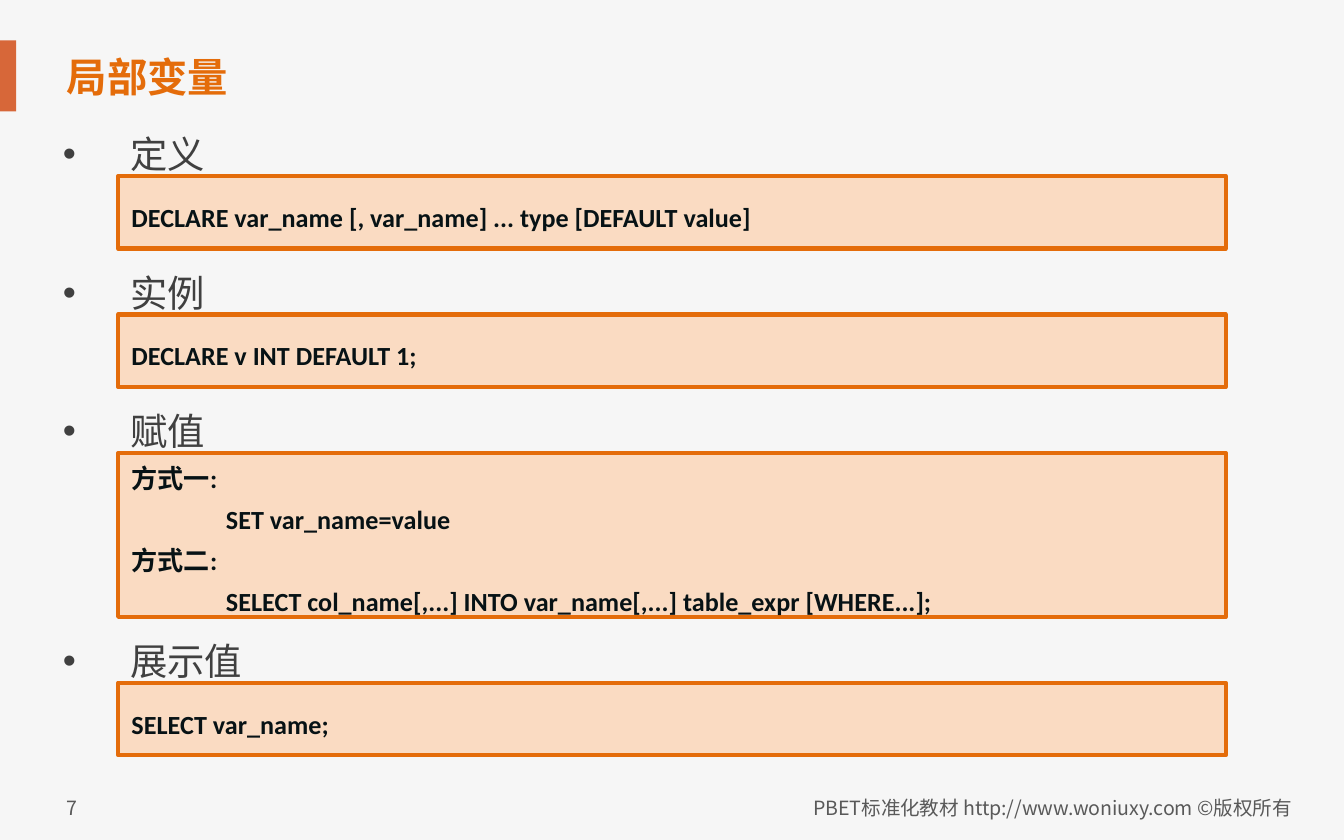
from dataclasses import dataclass

from lxml.etree import SubElement
from pptx import Presentation
from pptx.dml.color import RGBColor
from pptx.enum.shapes import MSO_SHAPE
from pptx.enum.text import MSO_ANCHOR, PP_ALIGN
from pptx.oxml.ns import qn
from pptx.util import Pt

PX = 9144  # 100 px to the inch


@dataclass(frozen=True)
class Theme:
    back: str = "F6F6F6"
    bar: str = "D76739"
    accent: str = "E46C0A"
    panel: str = "FCD5B5"
    code: str = "071215"
    body: str = "404040"
    foot: str = "595959"
    sans: str = "Noto Sans CJK SC"
    latin: str = "Calibri"
    title_pt: float = 21.6
    body_pt: float = 20
    code_pt: float = 14
    foot_pt: float = 10.5


THEME = Theme()
ITEMS = [
    ("定义", ["DECLARE var_name [, var_name] ... type [DEFAULT value]"]),
    ("实例", ["DECLARE v INT DEFAULT 1;"]),
    ("赋值", [
        "方式一:",
        "                SET var_name=value",
        "方式二:",
        "                SELECT col_name[,...] INTO var_name[,...] table_expr [WHERE...];",
    ]),
    ("展示值", ["SELECT var_name;"]),
]


def color(code):
    return RGBColor.from_string(code)


def emu(box):
    return [n * PX for n in box]


def style(para, size, tint, face=THEME.sans, bold=False):
    """Format every run, with the sans face for East Asian letters."""
    for run in para.runs:
        font = run.font
        font.size, font.bold, font.name = Pt(size), bold, face
        font.color.rgb = color(tint)
        latin = run._r.rPr.find(qn("a:latin"))
        east = latin.makeelement(qn("a:ea"), {"typeface": THEME.sans})
        latin.addnext(east)


def add_rect(slide, box, tint):
    rect = slide.shapes.add_shape(MSO_SHAPE.RECTANGLE, *emu(box))
    rect.shadow.inherit = False
    rect.fill.solid()
    rect.fill.fore_color.rgb = color(tint)
    rect.line.fill.background()
    return rect


def add_text(slide, box, text, size, tint, bold=False):
    frame = slide.shapes.add_textbox(*emu(box)).text_frame
    frame.word_wrap = True
    frame.text = text
    style(frame.paragraphs[0], size, tint, bold=bold)
    return frame


def add_header(slide, box):
    left, top, width, height = box
    add_rect(slide, (left, top, 12, height), THEME.bar)
    frame = add_text(slide, (left + 40, top + 3, width - 40, 48), "局部变量",
                     THEME.title_pt, THEME.accent, bold=True)
    frame.vertical_anchor = MSO_ANCHOR.MIDDLE


def add_panel(slide, box, lines):
    rect = add_rect(slide, box, THEME.panel)
    tint = rect._element.spPr.find(qn("a:solidFill"))[0]
    SubElement(tint, qn("a:alpha"), val="80000")
    rect.line.color.rgb = color(THEME.accent)
    rect.line.width = Pt(2.25)
    frame = rect.text_frame
    frame.word_wrap = True
    frame.vertical_anchor = MSO_ANCHOR.MIDDLE
    frame.text = "\n".join(lines)
    for para in frame.paragraphs:
        para.alignment = PP_ALIGN.LEFT
        para.line_spacing = 1.3
        style(para, THEME.code_pt, THEME.code, THEME.latin, bold=True)


def add_label(slide, box, text):
    frame = add_text(slide, box, text, THEME.body_pt, THEME.body)
    props = frame.paragraphs[0]._p.get_or_add_pPr()
    props.set("marL", str(50 * PX))
    props.set("indent", str(-50 * PX))
    SubElement(props, qn("a:buFont"), typeface="Arial")
    SubElement(props, qn("a:buChar"), char="•")


def add_items(slide, box):
    """Stack the labelled code panels from the top of the box."""
    left, top, width, _ = box
    drop, inset, gap = 38, 51, 49
    y = top + drop
    for label, lines in ITEMS:
        tall = 54 if len(lines) == 1 else 122
        add_panel(slide, (left + inset, y, width - inset, tall), lines)
        add_label(slide, (left, y - drop, width, 76), label)
        y += tall + gap


def add_footer(slide, box):
    left, top, width, height = box
    add_text(slide, (left, top, 40, height), "7", THEME.foot_pt, THEME.foot)
    wide = 476
    frame = add_text(slide, (left + width - wide, top, wide, height),
                     "PBET标准化教材 http://www.woniuxy.com ©版权所有",
                     THEME.foot_pt, THEME.foot)
    frame.paragraphs[0].alignment = PP_ALIGN.RIGHT


def main():
    deck = Presentation()
    deck.slide_width, deck.slide_height = 1000 * PX, 625 * PX
    slide = deck.slides.add_slide(deck.slide_layouts[6])
    slide.background.fill.solid()
    slide.background.fill.fore_color.rgb = color(THEME.back)
    add_header(slide, (0, 30, 742, 53))
    add_items(slide, (37, 93, 875, 469))
    add_footer(slide, (40, 587, 931, 28))
    deck.save("out.pptx")


if __name__ == "__main__":
    main()
